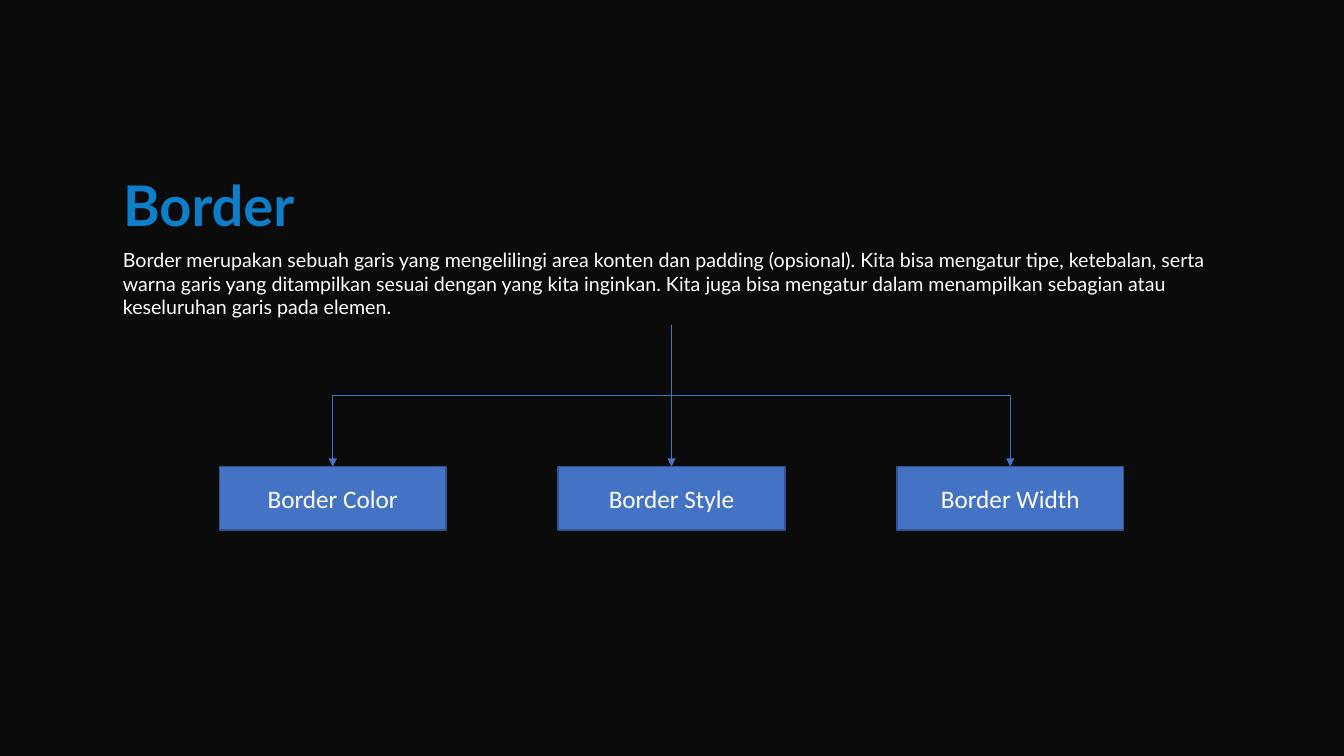
from lxml.etree import SubElement
from pptx import Presentation
from pptx.dml.color import RGBColor
from pptx.enum.shapes import MSO_CONNECTOR, MSO_SHAPE
from pptx.enum.text import MSO_ANCHOR, MSO_AUTO_SIZE, PP_ALIGN
from pptx.oxml.ns import qn
from pptx.util import Pt

EMU_PER_PX = 9144  # 100 px to the inch
BACKGROUND = RGBColor(0x0B, 0x0B, 0x0C)
TITLE_BLUE = RGBColor(0x0D, 0x7F, 0xC8)
BOX_BLUE = RGBColor(0x44, 0x72, 0xC4)
BOX_EDGE = RGBColor(0x32, 0x54, 0x91)
WHITE = RGBColor(0xFF, 0xFF, 0xFF)

EXPLANATION = (
    "Border merupakan sebuah garis yang mengelilingi area konten dan padding (opsional). "
    "Kita bisa mengatur tipe, ketebalan, serta warna garis yang ditampilkan sesuai dengan "
    "yang kita inginkan. Kita juga bisa mengatur dalam menampilkan sebagian atau "
    "keseluruhan garis pada elemen."
)
PROPERTIES = ["Border Color", "Border Style", "Border Width"]


def px(*lengths):
    """Turn pixel lengths into EMU."""
    return [round(length * EMU_PER_PX) for length in lengths]


class Diagram:
    text_font = "Lato"
    box_font = "Calibri"

    def __init__(self, page):
        self.page = page
        page.background.fill.solid()
        page.background.fill.fore_color.rgb = BACKGROUND

    def set_text(self, shape, text, font, size, color, align=PP_ALIGN.LEFT,
                 anchor=MSO_ANCHOR.TOP, bold=False, wrap=True):
        frame = shape.text_frame
        frame.text = text
        frame.word_wrap = wrap
        frame.auto_size = MSO_AUTO_SIZE.NONE
        frame.vertical_anchor = anchor
        para = frame.paragraphs[0]
        para.alignment = align
        para.font.name = font
        para.font.size = Pt(size)
        para.font.bold = bold
        para.font.color.rgb = color

    def title(self, text, left, top, width, height):
        shape = self.page.shapes.title
        shape.left, shape.top, shape.width, shape.height = px(left, top, width, height)
        self.set_text(shape, text, self.text_font, 40, TITLE_BLUE, bold=True, wrap=False)

    def body(self, text, left, top, width, height):
        shape = self.page.shapes.add_textbox(*px(left, top, width, height))
        self.set_text(shape, text, self.text_font, 14, WHITE)

    def box(self, text, left, top, width, height):
        shape = self.page.shapes.add_shape(
            MSO_SHAPE.RECTANGLE, *px(left, top, width, height))
        shape.shadow.inherit = False
        shape.fill.solid()
        shape.fill.fore_color.rgb = BOX_BLUE
        shape.line.color.rgb = BOX_EDGE
        shape.line.width = Pt(1)
        self.set_text(shape, text, self.box_font, 18, WHITE,
                      PP_ALIGN.CENTER, MSO_ANCHOR.MIDDLE)

    def branch(self, start_x, start_y, end_x, end_y):
        """Draw an arrow that leaves downwards and, if needed, bends halfway."""
        shift = end_x - start_x
        if shift == 0:
            kind, ends = MSO_CONNECTOR.STRAIGHT, (start_x, start_y, end_x, end_y)
        else:
            # An elbow runs sideways first, so it is laid out on its side and turned.
            kind = MSO_CONNECTOR.ELBOW
            middle_x, middle_y = (start_x + end_x) / 2, (start_y + end_y) / 2
            side = 1 if shift > 0 else -1
            half_drop, half_shift = side * (end_y - start_y) / 2, abs(shift) / 2
            ends = (middle_x + half_drop, middle_y - half_shift,
                    middle_x - half_drop, middle_y + half_shift)
        arrow = self.page.shapes.add_connector(kind, *px(*ends))
        arrow.line.color.rgb = BOX_BLUE
        arrow.line.width = Pt(0.5)
        properties = arrow._element.spPr
        if shift:
            degrees = 270 if shift > 0 else 90
            properties.find(qn("a:xfrm")).set("rot", str(degrees * 60000))
        SubElement(properties.find(qn("a:ln")), qn("a:tailEnd"), type="triangle")
        SubElement(properties, qn("a:effectLst"))


def main():
    deck = Presentation()
    deck.slide_width, deck.slide_height = px(1333, 750)
    diagram = Diagram(deck.slides.add_slide(deck.slide_layouts[5]))

    diagram.title("Border", 112, 164, 198, 77)
    diagram.body(EXPLANATION, 112, 241, 1108, 81)

    box_width, box_height, box_top, pitch = 225, 63, 463, 336
    trunk_x, trunk_y = 666, 322
    for index, name in enumerate(PROPERTIES):
        center = trunk_x + (index - 1) * pitch
        diagram.box(name, center - box_width / 2, box_top, box_width, box_height)
        diagram.branch(trunk_x, trunk_y, center, box_top)

    deck.save("out.pptx")


if __name__ == "__main__":
    main()
